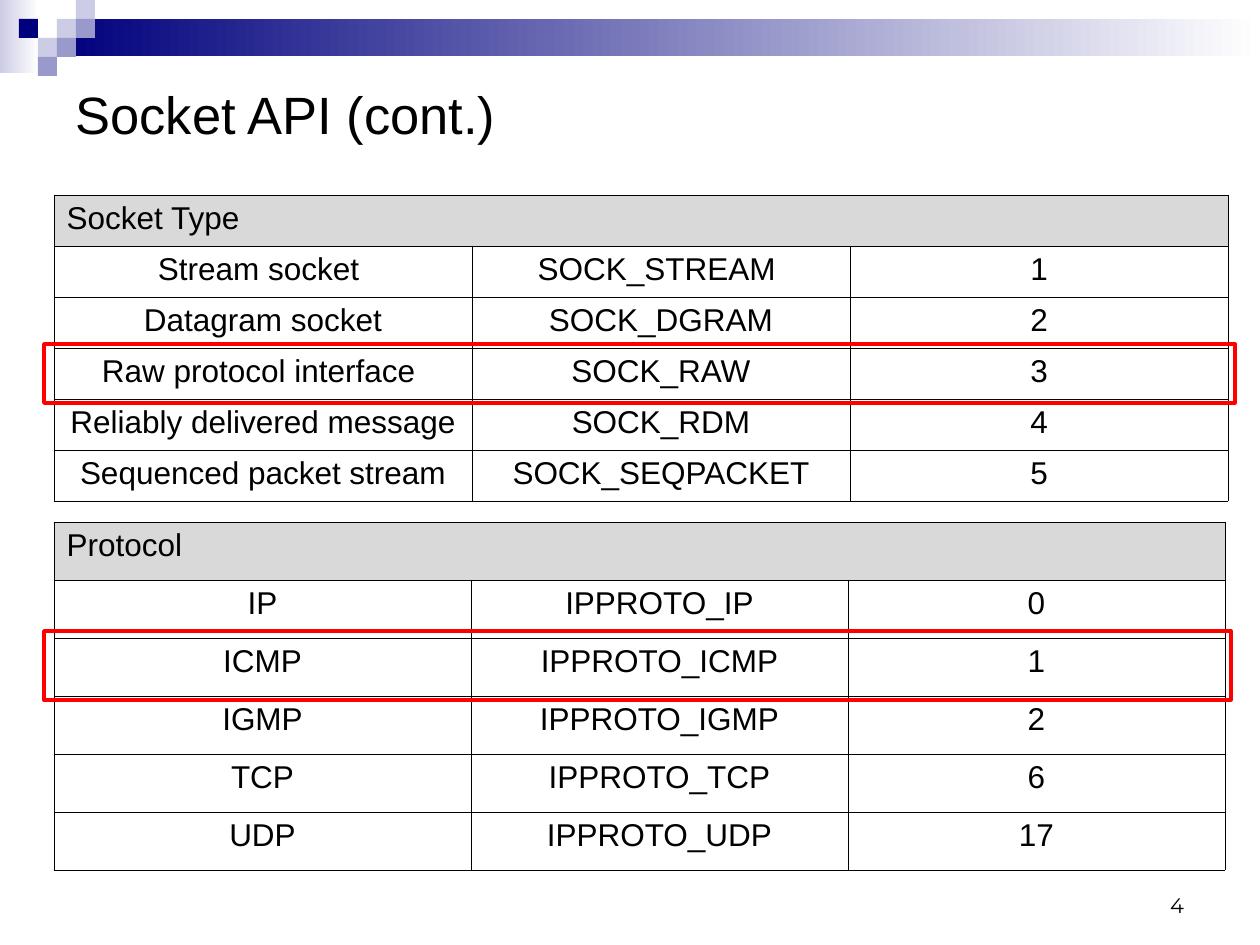
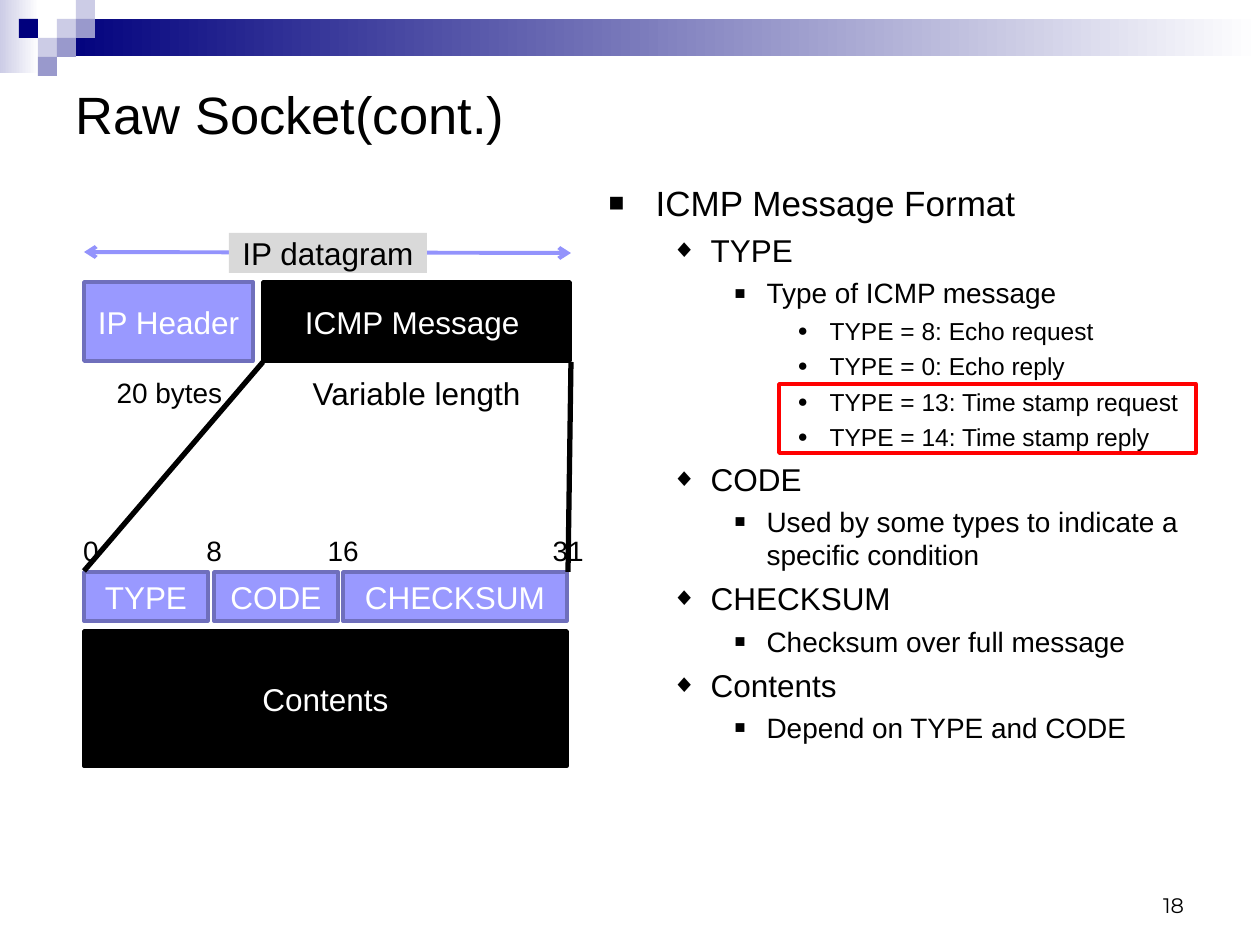
import lxml.etree
import pptx
import pptx.dml.color
import pptx.enum.shapes
import pptx.enum.text
import pptx.oxml.ns
import pptx.util

PX = pptx.util.Inches(1) / 126
RGB = pptx.dml.color.RGBColor
BLACK = RGB(0x00, 0x00, 0x00)
WHITE = RGB(0xFF, 0xFF, 0xFF)
RED = RGB(0xFF, 0x00, 0x00)
GRAY = RGB(0xD9, 0xD9, 0xD9)
NAVY = RGB(0x00, 0x00, 0x7D)
PALE = RGB(0xCC, 0xCC, 0xE6)
MAUVE = RGB(0x99, 0x99, 0xCC)
VIOLET = RGB(0x99, 0x99, 0xFF)
VIOLET_EDGE = RGB(0x6F, 0x6F, 0xBC)
ARROW_BLUE = RGB(0x93, 0x93, 0xFC)
ALIGN = pptx.enum.text.PP_ALIGN
ANCHOR = pptx.enum.text.MSO_ANCHOR
RECTANGLE = pptx.enum.shapes.MSO_SHAPE.RECTANGLE
STRAIGHT = pptx.enum.shapes.MSO_CONNECTOR.STRAIGHT
qn = pptx.oxml.ns.qn


def write(frame, text, size, color=BLACK, align=ALIGN.LEFT, font="Arial"):
    """Fill a text frame with one formatted paragraph per line."""
    frame.text = text
    for para in frame.paragraphs:
        para.alignment = align
        for span in para.runs:
            span.font.size = pptx.util.Pt(size)
            span.font.name = font
            span.font.color.rgb = color


def add_box(page, at, text="", size=18, color=BLACK, fill=None, line=None):
    """Add a rectangle, or a text box when there is only text."""
    place = [round(length * PX) for length in at]
    if text and fill is None:
        box = page.shapes.add_textbox(*place)
    else:
        box = page.shapes.add_shape(RECTANGLE, *place)
        box.shadow.inherit = False
        if fill is None:
            box.fill.background()
        else:
            box.fill.solid()
            box.fill.fore_color.rgb = fill
        if line is None:
            box.line.fill.background()
        else:
            box.line.color.rgb = line
            box.line.width = pptx.util.Pt(2)
    if text:
        frame = box.text_frame
        frame.word_wrap = True
        frame.margin_left = frame.margin_right = 0
        frame.vertical_anchor = ANCHOR.MIDDLE
        write(frame, text, size, color, ALIGN.CENTER)
    return box


deck = pptx.Presentation()
deck.slide_width = pptx.util.Inches(10)
deck.slide_height = pptx.util.Inches(7.5)

# Both pages: title and page number
pages = []
for title, number, layout in (("Socket API (cont.)", "4", 5), ("Raw Socket(cont.)", "18", 1)):
    page = deck.slides.add_slide(deck.slide_layouts[layout])
    heading = page.shapes.title
    heading.left, heading.top, heading.width, heading.height = [
        round(length * PX) for length in (63, 63, 1134, 102)]
    heading.text_frame.auto_size = pptx.enum.text.MSO_AUTO_SIZE.NONE
    heading.text_frame.vertical_anchor = ANCHOR.MIDDLE
    write(heading.text_frame, title, 30)
    number_box = add_box(page, (903, 861, 281, 63), number)
    number_box.text_frame.vertical_anchor = ANCHOR.BOTTOM
    write(number_box.text_frame, number, 12, align=ALIGN.RIGHT, font="Montserrat")
    pages.append(page)
socket_page, icmp_page = pages

# Master: gradient bands and mosaic squares, moved behind the placeholders
decoration = []
for at, start in (((0, 0, 39, 73), PALE), ((57, 19, 1203, 37), NAVY)):
    band = add_box(socket_page, at, fill=start)
    band.fill.gradient()
    band.fill.gradient_angle = 0
    for stop, color in zip(band.fill.gradient_stops, (start, WHITE)):
        stop.color.rgb = color
    decoration.append(band)
for column, row, color in ((3, 1, PALE), (4, 0, PALE), (4, 1, MAUVE), (2, 2, PALE),
                           (1, 1, NAVY), (3, 2, MAUVE), (2, 3, MAUVE)):
    decoration.append(add_box(socket_page, (19 * column, 19 * row, 19, 19), fill=color))
master = deck.slide_master
for position, shape in enumerate(decoration, 2):
    master.shapes.element.insert(position, shape.element)
for number, properties in enumerate(master.element.xpath(".//p:cNvPr"), 1):
    properties.set("id", str(number))

# Socket page: two tables with one highlighted row each
socket_types = (
    ("Socket Type", "", ""),
    ("Stream socket ", "SOCK_STREAM ", "1"),
    ("Datagram socket", "SOCK_DGRAM", "2"),
    ("Raw protocol interface ", "SOCK_RAW", "3"),
    ("Reliably delivered message", "SOCK_RDM", "4"),
    ("Sequenced packet stream", "SOCK_SEQPACKET", "5"),
)
protocols = (
    ("Protocol", "", ""),
    ("IP", "IPPROTO_IP", "0"),
    ("ICMP", "IPPROTO_ICMP", "1"),
    ("IGMP", "IPPROTO_IGMP", "2"),
    ("TCP", "IPPROTO_TCP", "6"),
    ("UDP", "IPPROTO_UDP", "17"),
)
for rows, top, row_height, widths, highlight in (
        (socket_types, 195, 51, (418, 378, 378), (44, 344, 1191, 59)),
        (protocols, 522, 58, (417, 377, 377), (44, 631, 1187, 69))):
    place = [round(length * PX) for length in (54, top, sum(widths), row_height * len(rows))]
    table = socket_page.shapes.add_table(len(rows), len(widths), *place).table
    table.first_row = table.horz_banding = False
    for column, width in zip(table.columns, widths):
        column.width = round(width * PX)
    for row_index, row in enumerate(rows):
        table.rows[row_index].height = round(row_height * PX)
        for column_index, text in enumerate(row):
            cell = table.cell(row_index, column_index)
            align = ALIGN.CENTER if row_index else ALIGN.LEFT
            write(cell.text_frame, text, 18, align=align)
            cell_properties = cell._tc.get_or_add_tcPr()
            for side in ("a:lnL", "a:lnR", "a:lnT", "a:lnB"):
                border = lxml.etree.SubElement(cell_properties, qn(side), w="5715")
                solid = lxml.etree.SubElement(border, qn("a:solidFill"))
                lxml.etree.SubElement(solid, qn("a:srgbClr"), val=str(BLACK))
            if row_index:
                cell.fill.background()
            else:
                cell.fill.solid()
                cell.fill.fore_color.rgb = GRAY
    table.cell(0, 0).merge(table.cell(0, len(widths) - 1))
    add_box(socket_page, highlight, line=RED)

# ICMP page: message format list
outline = (
    (0, "ICMP Message Format"),
    (1, "TYPE"),
    (2, "Type of ICMP message"),
    (3, "TYPE = 8: Echo request"),
    (3, "TYPE = 0: Echo reply"),
    (3, "TYPE = 13: Time stamp request"),
    (3, "TYPE = 14: Time stamp reply"),
    (1, "CODE"),
    (2, "Used by some types to indicate a specific condition"),
    (1, "CHECKSUM"),
    (2, "Checksum over full message"),
    (1, "Contents"),
    (2, "Depend on TYPE and CODE"),
)
# Per level: text size, left margin, hanging indent, bullet, bullet percent
level_styles = (
    (20, 47, 47, "■", 75),
    (18, 102, 39, "◆", 80),
    (16, 158, 32, "■", 65),
    (14, 221, 32, "●", 70),
)
body = icmp_page.placeholders[1]
body.left, body.top, body.width, body.height = [
    round(length * PX) for length in (596, 175, 601, 634)]
body.text_frame.auto_size = pptx.enum.text.MSO_AUTO_SIZE.NONE
write(body.text_frame, "\n".join(text for level, text in outline), 18)
for para, (level, text) in zip(body.text_frame.paragraphs, outline):
    size, margin, hanging, bullet, percent = level_styles[level]
    para.level = level
    para.space_before = pptx.util.Pt(size / 4)
    para.runs[0].font.size = pptx.util.Pt(size)
    para_properties = para._p.get_or_add_pPr()
    para_properties.set("marL", str(round(margin * PX)))
    para_properties.set("indent", str(round(-hanging * PX)))
    bullet_color = lxml.etree.SubElement(para_properties, qn("a:buClr"))
    lxml.etree.SubElement(bullet_color, qn("a:srgbClr"), val=str(BLACK))
    lxml.etree.SubElement(para_properties, qn("a:buSzPct"), val=str(percent * 1000))
    lxml.etree.SubElement(para_properties, qn("a:buChar"), char=bullet)
add_box(icmp_page, (779, 384, 417, 69), line=RED)

# ICMP page: size labels under the datagram
for left, width, text, size in ((95, 149, "20 bytes", 16), (263, 307, "Variable length", 18)):
    add_box(icmp_page, (left, 373, width, 39), text, size, fill=WHITE)

# ICMP page: datagram parts and message fields
for at, text, fill, edge in (
        ((84, 282, 169, 79), "IP Header", VIOLET, VIOLET_EDGE),
        ((263, 282, 307, 79), "ICMP Message ", BLACK, BLACK),
        ((84, 572, 124, 49), "TYPE", VIOLET, VIOLET_EDGE),
        ((214, 572, 124, 49), "CODE", VIOLET, VIOLET_EDGE),
        ((343, 572, 224, 49), "CHECKSUM", VIOLET, VIOLET_EDGE),
        ((84, 631, 483, 135), "Contents", BLACK, BLACK)):
    add_box(icmp_page, at, text, color=WHITE, fill=fill, line=edge)

# ICMP page: bit positions
for center, text in ((91, "0"), (214, "8"), (343, "16"), (568, "31")):
    add_box(icmp_page, (center - 28, 530, 56, 40), text, 16)

# ICMP page: datagram span and zoom lines
for ends, color, width, arrows in (
        ((84, 252, 571, 253), ARROW_BLUE, 2.25, ("a:headEnd", "a:tailEnd")),
        ((84, 571, 263, 362), BLACK, 3, ()),
        ((568, 572, 571, 362), BLACK, 3, ())):
    connector = icmp_page.shapes.add_connector(STRAIGHT, *[round(end * PX) for end in ends])
    connector.line.color.rgb = color
    connector.line.width = pptx.util.Pt(width)
    for arrow in arrows:
        lxml.etree.SubElement(connector.line._get_or_add_ln(), qn(arrow), type="arrow")
    lxml.etree.SubElement(connector.element.spPr, qn("a:effectLst"))
add_box(icmp_page, (229, 233, 198, 40), "IP datagram", fill=GRAY)

deck.save("out.pptx")
